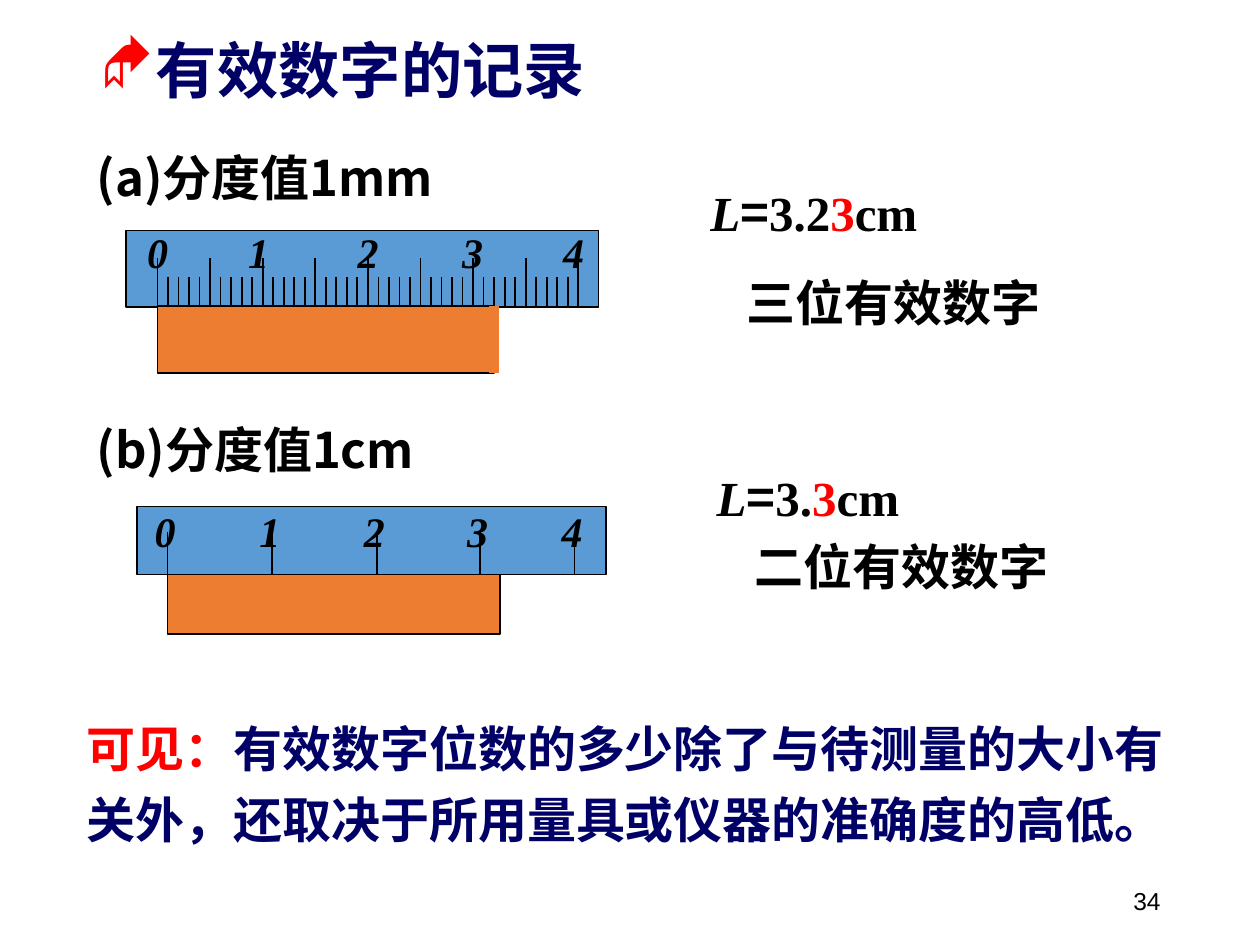
from lxml.etree import SubElement
from pptx import Presentation
from pptx.dml.color import RGBColor
from pptx.enum.shapes import MSO_CONNECTOR, MSO_SHAPE
from pptx.enum.text import MSO_ANCHOR as ANCHOR, PP_ALIGN as ALIGN
from pptx.oxml.ns import qn
from pptx.util import Inches, Pt

COLORS = {"black": "000000", "red": "FF0000", "navy": "000066",
          "ruler": "5B9BD5", "block": "ED7D31"}
CJK = "Noto Sans CJK SC"
SERIF = "Times New Roman"


def color(name):
    """Return the named palette colour."""
    return RGBColor.from_string(COLORS[name])


def add_bar(shapes, left, top, width, height, fill):
    """Draw a filled rectangle with a thin black outline."""
    bar = shapes.add_shape(MSO_SHAPE.RECTANGLE, *map(Inches, (left, top, width, height)))
    bar.shadow.inherit = False
    bar.fill.solid()
    bar.fill.fore_color.rgb = color(fill)
    bar.line.color.rgb = color("black")
    bar.line.width = Pt(1)


def add_vertical(shapes, x, top, bottom, stroke="black", weight=1):
    """Draw a vertical line."""
    line = shapes.add_connector(MSO_CONNECTOR.STRAIGHT, *map(Inches, (x, top, x, bottom)))
    line.line.color.rgb = color(stroke)
    line.line.width = Pt(weight)
    SubElement(line._element.spPr, qn("a:effectLst"))


def add_span(para, text, size, font=CJK, ink="black", bold=True, italic=False):
    """Append one formatted run, with the same font for Chinese text."""
    span = para.add_run()
    span.text = text
    span.font.size = Pt(size)
    span.font.name = font
    span.font.bold = bold
    span.font.italic = italic
    span.font.color.rgb = color(ink)
    SubElement(span._r.get_or_add_rPr(), qn("a:ea"), typeface=font)


def add_box(shapes, left, top, width, height, align=ALIGN.LEFT, anchor=ANCHOR.TOP):
    """Add a wrapping text box and return its first paragraph."""
    box = shapes.add_textbox(*map(Inches, (left, top, width, height)))
    frame = box.text_frame
    frame.word_wrap = True
    frame.vertical_anchor = anchor
    para = frame.paragraphs[0]
    para.alignment = align
    return para


def add_bullet(para, char, ink, margin, hang):
    """Give a paragraph a coloured bullet with a hanging indent."""
    props = para._p.get_or_add_pPr()
    props.set("marL", str(Inches(margin)))
    props.set("indent", str(-Inches(hang)))
    SubElement(SubElement(props, qn("a:buClr")), qn("a:srgbClr"), val=COLORS[ink])
    SubElement(props, qn("a:buFont"), typeface="Wingdings")
    SubElement(props, qn("a:buChar"), char=char)


def add_digits(shapes, lefts, top, width):
    """Label the centimetre marks from zero upwards."""
    for number, left in enumerate(lefts):
        para = add_box(shapes, left, top, width, 0.5)
        add_span(para, str(number), 24, SERIF, italic=True)


def add_label(shapes, top, text):
    """Write the heading above a ruler."""
    add_span(add_box(shapes, 0.67, top, 4.2, 0.57), text, 28)


def add_reading(shapes, left, top, certain, doubtful):
    """Write a measured length with its doubtful digit in red."""
    para = add_box(shapes, left, top, 3, 0.57)
    add_span(para, "L", 28, SERIF, italic=True)
    add_span(para, "=", 28)
    add_span(para, certain, 28, SERIF)
    add_span(para, doubtful, 28, SERIF, "red")
    add_span(para, "cm", 28, SERIF)


def add_verdict(shapes, left, top, width, text):
    """Write how many significant figures the reading has."""
    add_span(add_box(shapes, left, top, width, 0.57, ALIGN.CENTER), text, 28)


def add_millimetre_case(shapes):
    """Build the measurement with the millimetre ruler."""
    add_bar(shapes, 1, 1.83, 3.75, 0.61, "ruler")
    for mark in range(41):
        top = 2.2 if mark % 5 else 2.05
        add_vertical(shapes, 1.25 + mark * 3.34 / 40, top, 2.43)
    add_digits(shapes, (1.07, 1.87, 2.74, 3.57, 4.37), 1.75, 0.22)
    add_bar(shapes, 1.25, 2.43, 2.67, 0.53, "block")
    add_vertical(shapes, 3.92, 2.43, 2.96, "block", 6)
    add_label(shapes, 1.12, "(a)分度值1mm")
    add_reading(shapes, 5.54, 1.4, "3.2", "3")
    add_verdict(shapes, 5.42, 2.11, 3.34, "三位有效数字")


def add_centimetre_case(shapes):
    """Build the measurement with the centimetre ruler."""
    marks = (1.33, 2.16, 2.99, 3.81, 4.56)
    add_bar(shapes, 1.09, 4.02, 3.72, 0.54, "ruler")
    add_bar(shapes, 1.33, 4.56, 2.64, 0.47, "block")
    for x in marks:
        add_vertical(shapes, x, 4.22, 4.56)
    add_digits(shapes, [x - 0.2 for x in marks], 3.96, 0.2)
    add_label(shapes, 3.28, "(b)分度值1cm")
    add_reading(shapes, 5.59, 3.66, "3.", "3")
    add_verdict(shapes, 5.38, 4.21, 3.55, "二位有效数字")


def main():
    """Build and save the slide."""
    deck = Presentation()
    deck.slide_width, deck.slide_height = Inches(10), Inches(7.5)
    page = deck.slides.add_slide(deck.slide_layouts[6])

    number = add_box(page.shapes, 7.06, 6.95, 2.25, 0.4, ALIGN.RIGHT, ANCHOR.MIDDLE)
    add_span(number, "34", 14, "Arial", bold=False)

    add_millimetre_case(page.shapes.add_group_shape().shapes)
    add_centimetre_case(page.shapes.add_group_shape().shapes)

    title = add_box(page.shapes, 0.04, 0.21, 5.28, 0.67, ALIGN.CENTER, ANCHOR.MIDDLE)
    add_bullet(title, "◆", "red", 0.46, 0.38)
    add_span(title, "有效数字的记录", 35, ink="navy")

    summary = add_box(page.shapes, 0.59, 5.56, 8.82, 1.22, anchor=ANCHOR.MIDDLE)
    summary.line_spacing = 1.2
    add_span(summary, "可见：", 28, ink="red")
    add_span(summary, "有效数字位数的多少除了与待测量的大小有关外，"
             "还取决于所用量具或仪器的准确度的高低。", 28, ink="navy")

    deck.save("out.pptx")


if __name__ == "__main__":
    main()
